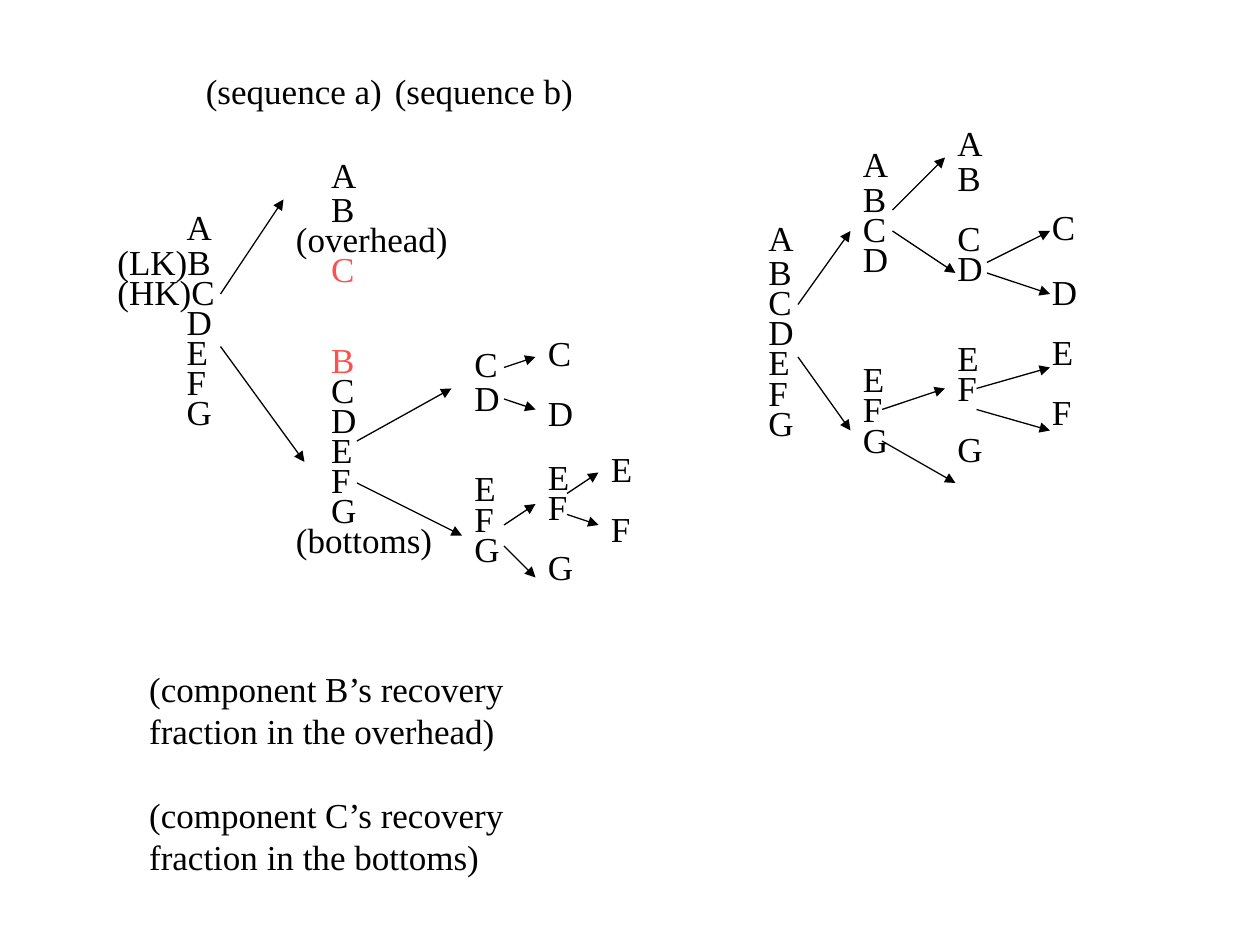
from dataclasses import dataclass

from lxml.etree import SubElement
from pptx import Presentation
from pptx.dml.color import RGBColor
from pptx.enum.shapes import MSO_CONNECTOR as Connector
from pptx.enum.text import MSO_ANCHOR as Anchor, MSO_AUTO_SIZE as AutoSize, PP_ALIGN as Align
from pptx.oxml.ns import qn
from pptx.util import Emu, Inches, Pt

COLORS = {"ink": "000000", "key": "FF5050"}
FONT = {"name": "Times New Roman", "size": Pt(20), "bold": False}
FRAME = {"word_wrap": True, "auto_size": AutoSize.NONE, "vertical_anchor": Anchor.TOP}
CELL = Inches(1) // 12
FULL_LINE = 24
TIGHT_LINE = 17.2
GAP = "-"
KEY_MARK = "*"


@dataclass(frozen=True)
class Column:
    left: float
    top: float
    width: float
    rows: str
    indent: float = 0
    first_gap: float = 2.5


@dataclass(frozen=True)
class Arrow:
    x1: float
    y1: float
    x2: float
    y2: float


COLUMNS = [
    Column(10, 19, 19, "A (LK)B (HK)C D E F G", indent=0.55),
    Column(27, 14, 18, "A B (overhead) C* - - B* C D E F G (bottoms)", indent=0.28),
    Column(44, 32, 7, "C D - - E F G"),
    Column(51, 31, 5, "C - D", first_gap=0),
    Column(51, 42.8, 5, "E F - G", first_gap=0),
    Column(57, 42, 7, "E - F", first_gap=0),
    Column(72, 20, 6, "A B C D E F G"),
    Column(81, 13, 5, "A B C D - - - E F G"),
    Column(90, 11, 5, "A B - C D - - E F - G"),
    Column(99, 19, 7, "C - D - E - F"),
]

ARROWS = [Arrow(*ends) for ends in (
    (21, 28, 27, 19), (21, 33, 29, 44),
    (34, 42, 43, 37), (34, 46, 44, 51),
    (48, 35, 51, 34), (48, 38, 51, 39),
    (48, 50, 51, 48), (48, 52, 51, 55),
    (54, 47, 57, 45), (54, 49, 57, 50),
    (76, 29, 81, 22), (76, 34, 81, 41),
    (85, 20, 90, 15), (85, 22, 91, 26),
    (84, 39, 90, 37), (84, 42, 91, 46),
    (94, 25, 100, 22), (94, 26, 100, 28),
    (93, 37, 100, 35), (93, 39, 100, 41),
)]

HEADINGS = ["(sequence a)", "(sequence b)"]
NOTES = [
    "(component B’s recovery fraction in the overhead)",
    "(component C’s recovery fraction in the bottoms)",
]


def cells(count: float) -> Emu:
    return Emu(round(count * CELL))


def apply(target, values: dict) -> None:
    for name, value in values.items():
        setattr(target, name, value)


def place(box, left: float, top: float, width: float, height: float) -> None:
    apply(box, {"left": cells(left), "top": cells(top),
                "width": cells(width), "height": cells(height)})
    apply(box.text_frame, FRAME)


def write(para, text: str, line: float, before: float = 0,
          indent: float = 0, color: str = "ink", tab: float = 0) -> None:
    properties = para._p.get_or_add_pPr()
    properties.set("marL", str(Inches(indent)))
    properties.set("indent", "0")
    SubElement(properties, qn("a:buNone"))
    if tab:
        stops = SubElement(properties, qn("a:tabLst"))
        SubElement(stops, qn("a:tab"), pos=str(Inches(tab)), algn="l")
    apply(para, {"alignment": Align.LEFT, "line_spacing": Pt(line),
                 "space_before": Pt(before), "space_after": Pt(0)})
    span = para.add_run()
    span.text = text
    apply(span.font, FONT)
    span.font.color.rgb = RGBColor.from_string(COLORS[color])


def next_para(frame, index: int):
    return frame.add_paragraph() if index else frame.paragraphs[0]


def draw_column(page, column: Column) -> None:
    rows = column.rows.split()
    box = page.shapes.add_textbox(0, 0, 0, 0)
    place(box, column.left, column.top, column.width, 3 * len(rows) + 3)
    skipped = written = 0
    for row in rows:
        if row == GAP:
            skipped += 1
            continue
        before = skipped * TIGHT_LINE + (column.first_gap if written == 1 else 0)
        write(next_para(box.text_frame, written), row.rstrip(KEY_MARK),
              TIGHT_LINE if written else FULL_LINE, before,
              0 if row.startswith("(") else column.indent,
              "key" if row.endswith(KEY_MARK) else "ink")
        skipped = 0
        written += 1


def draw_arrow(page, arrow: Arrow) -> None:
    line = page.shapes.add_connector(
        Connector.STRAIGHT, cells(arrow.x1), cells(arrow.y1), cells(arrow.x2), cells(arrow.y2))
    line.line.color.rgb = RGBColor.from_string(COLORS["ink"])
    line.line.width = Pt(0.75)
    SubElement(line.line._get_or_add_ln(), qn("a:tailEnd"), type="triangle")
    SubElement(line._element.spPr, qn("a:effectLst"))


def main() -> None:
    deck = Presentation()
    deck.slide_width, deck.slide_height = Inches(10), Inches(7.5)
    page = deck.slides.add_slide(deck.slide_layouts[1])
    title, body = page.placeholders

    place(title, 18.4, 6, 93, 6)
    write(title.text_frame.paragraphs[0], "\t".join(HEADINGS), FULL_LINE, tab=5.08)

    place(body, 13, 63, 42, 22)
    for index, note in enumerate(NOTES):
        write(next_para(body.text_frame, index), note, FULL_LINE, index * FULL_LINE)

    for column in COLUMNS:
        draw_column(page, column)
    for arrow in ARROWS:
        draw_arrow(page, arrow)

    deck.save("out.pptx")


if __name__ == "__main__":
    main()
